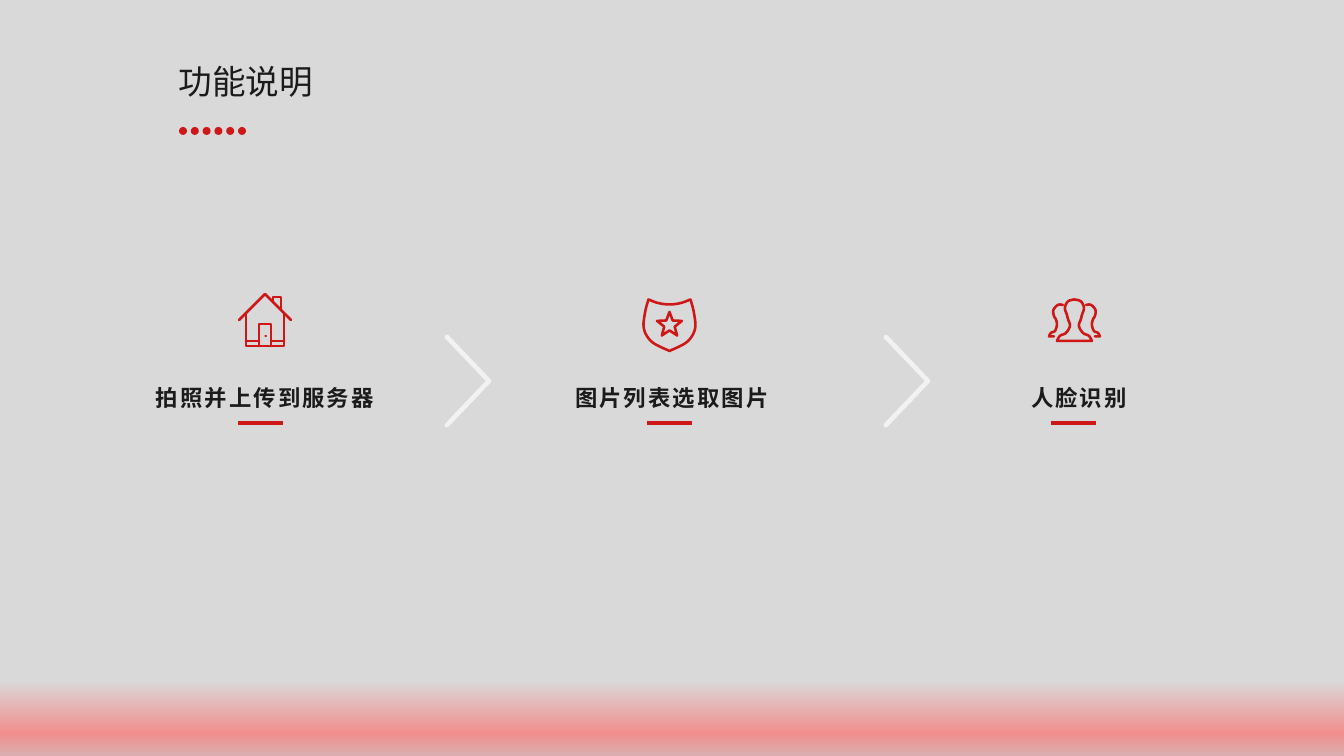
from dataclasses import dataclass
from math import cos, pi, sin

from lxml.etree import SubElement
from pptx import Presentation
from pptx.dml.color import RGBColor
from pptx.enum.shapes import MSO_CONNECTOR, MSO_SHAPE
from pptx.enum.text import MSO_ANCHOR, MSO_AUTO_SIZE, PP_ALIGN
from pptx.oxml.ns import qn
from pptx.util import Inches, Pt

PX = Inches(10) / 1344


@dataclass(frozen=True)
class Theme:
    red: str = "CE1818"
    ink: str = "1B1B1B"
    pale: str = "F2F2F2"
    background: tuple = ((90, "D9D9D9"), (97, "F28E8E"), (100, "D9AFAF"))
    font: str = "Calibri"
    title_size: float = 18
    label_size: float = 12
    icon_line: float = 1.4
    chevron_line: float = 2.5
    rule_line: float = 2


def emu(*lengths):
    return [round(length * PX) for length in lengths]


def mirror(points, axis):
    return [(2 * axis - x, y) for x, y in points]


def smooth(points, steps=8):
    """Return a Catmull-Rom curve through the points."""
    padded = [points[0], *points, points[-1]]
    curve = [points[0]]
    for a, b, c, d in zip(padded, padded[1:], padded[2:], padded[3:]):
        for step in range(1, steps + 1):
            t = step / steps
            curve.append(tuple(
                (2 * q + (r - p) * t + (2 * p - 5 * q + 4 * r - s) * t ** 2
                 + (3 * q - p - 3 * r + s) * t ** 3) / 2
                for p, q, r, s in zip(a, b, c, d)))
    return curve


def write_text(frame, text, *, size, color, font, spacing, align=PP_ALIGN.LEFT,
               bold=False, tracking=0, wrap=True):
    frame.word_wrap = wrap
    frame.auto_size = MSO_AUTO_SIZE.NONE
    frame.vertical_anchor = MSO_ANCHOR.TOP
    paragraph = frame.paragraphs[0]
    paragraph.alignment = align
    paragraph.line_spacing = spacing
    run = paragraph.add_run()
    run.text = text
    run.font.name = font
    run.font.size = Pt(size)
    run.font.bold = bold
    run.font.color.rgb = RGBColor.from_string(color)
    if tracking:
        run.font._element.set("spc", str(round(tracking * 100)))


class SlideBuilder:
    def __init__(self, slide, theme):
        self.slide = slide
        self.theme = theme

    def background(self):
        self.slide.background.fill.gradient()
        gradient = self.slide._element.find(".//" + qn("a:gradFill"))
        stops = gradient.find(qn("a:gsLst"))
        for stop in list(stops):
            stops.remove(stop)
        for percent, color in self.theme.background:
            stop = SubElement(stops, qn("a:gs"), pos=str(percent * 1000))
            SubElement(stop, qn("a:srgbClr"), val=color)
        gradient.find(qn("a:lin")).set("ang", "5400000")

    def title(self, text, left, top, width, height):
        title = self.slide.shapes.title
        title.left, title.top, title.width, title.height = emu(left, top, width, height)
        write_text(title.text_frame, text, size=self.theme.title_size,
                   color=self.theme.ink, font=self.theme.font, spacing=1.3)

    def label(self, text, center, top, width, height):
        box = self.slide.shapes.add_textbox(*emu(center - width / 2, top, width, height))
        write_text(box.text_frame, text, size=self.theme.label_size, color=self.theme.ink,
                   font=self.theme.font, spacing=1.5, align=PP_ALIGN.CENTER,
                   bold=True, tracking=1.1, wrap=False)

    def dots(self, left, top, size, span, count):
        group = self.slide.shapes.add_group_shape()
        for index in range(count):
            x = left + span * index / (count - 1)
            dot = group.shapes.add_shape(MSO_SHAPE.OVAL, *emu(x, top, size, size))
            dot.shadow.inherit = False
            dot.fill.solid()
            dot.fill.fore_color.rgb = RGBColor.from_string(self.theme.red)
            dot.line.fill.background()

    def rule(self, left, y, width):
        rule = self.slide.shapes.add_connector(
            MSO_CONNECTOR.STRAIGHT, *emu(left, y, left + width, y))
        SubElement(rule._element.spPr, qn("a:effectLst"))
        rule.line.color.rgb = RGBColor.from_string(self.theme.red)
        rule.line.width = Pt(self.theme.rule_line)

    def outline(self, strokes, color, weight):
        """Draw strokes as one unfilled shape; a stroke closes if its ends meet."""
        builder = None
        for stroke in strokes:
            start, *rest = [emu(*point) for point in stroke]
            if builder is None:
                builder = self.slide.shapes.build_freeform(*start)
            else:
                builder.move_to(*start)
            builder.add_line_segments(rest, close=start == rest[-1])
        shape = builder.convert_to_shape()
        shape.shadow.inherit = False
        shape.fill.background()
        shape.line.color.rgb = RGBColor.from_string(color)
        shape.line.width = Pt(weight)
        line = shape.line._get_or_add_ln()
        line.set("cap", "rnd")
        SubElement(line, qn("a:round"))

    def icon(self, strokes):
        self.outline(strokes, self.theme.red, self.theme.icon_line)

    def chevron(self, left, top, width, height):
        arms = [(left, top), (left + width, top + height / 2), (left, top + height)]
        self.outline([arms], self.theme.pale, self.theme.chevron_line)


def house():
    return [
        [(239, 320), (265, 294), (291, 320)],
        [(246, 314), (246, 346), (284, 346), (284, 314)],
        [(259, 346), (259, 324), (271, 324), (271, 346)],
        [(246, 341), (259, 341)],
        [(271, 341), (284, 341)],
        [(273, 302), (273, 297), (281, 297), (281, 310)],
        [(265.5, 336), (266, 336)],
    ]


def shield(axis=669.5, star_y=325):
    rim = smooth([(648.5, 299.5), (658, 303), (axis, 304.5), (681, 303), (690.5, 299.5)])
    right = smooth([(690.5, 299.5), (694, 313), (695, 329), (687, 342), (axis, 351)])
    left = mirror(right, axis)[::-1]
    star = []
    for corner in range(11):
        radius, angle = (5.5 if corner % 2 else 13), corner * pi / 5
        star.append((axis + radius * sin(angle), star_y - radius * cos(angle)))
    return [rim + right[1:] + left[1:], star]


def people(axis=1074.5):
    half = smooth([(axis, 299.5), (1081, 301.5), (1084, 308), (1082, 315), (1081, 319),
                   (1079, 326), (1083, 333), (1089, 336), (1092, 341)])
    friend = smooth([(1086, 305), (1091, 305), (1095.5, 310), (1095, 316), (1093, 319.5),
                     (1092, 325), (1094, 331), (1098, 333), (1100, 336.5)])
    friend.append((1095, 336.5))
    return [half + mirror(half, axis)[::-1], friend, mirror(friend, axis)]


def main():
    deck = Presentation()
    deck.slide_width, deck.slide_height = emu(1344, 756)
    page = SlideBuilder(deck.slides.add_slide(deck.slide_layouts[5]), Theme())
    page.background()
    page.title("功能说明", 165, 42, 406, 62)
    page.dots(left=179, top=127, size=8, span=59, count=6)

    steps = [
        ("拍照并上传到服务器", house(), 265, 250, 238),
        ("图片列表选取图片", shield(), 672, 226, 647),
        ("人脸识别", people(), 1079, 126, 1051),
    ]
    for name, strokes, center, label_width, rule_left in steps:
        page.icon(strokes)
        page.label(name, center, 364, label_width, 52)
        page.rule(rule_left, 423, 45)
    for left in (447, 886):
        page.chevron(left, 337, 42, 88)
    deck.save("out.pptx")


if __name__ == "__main__":
    main()
